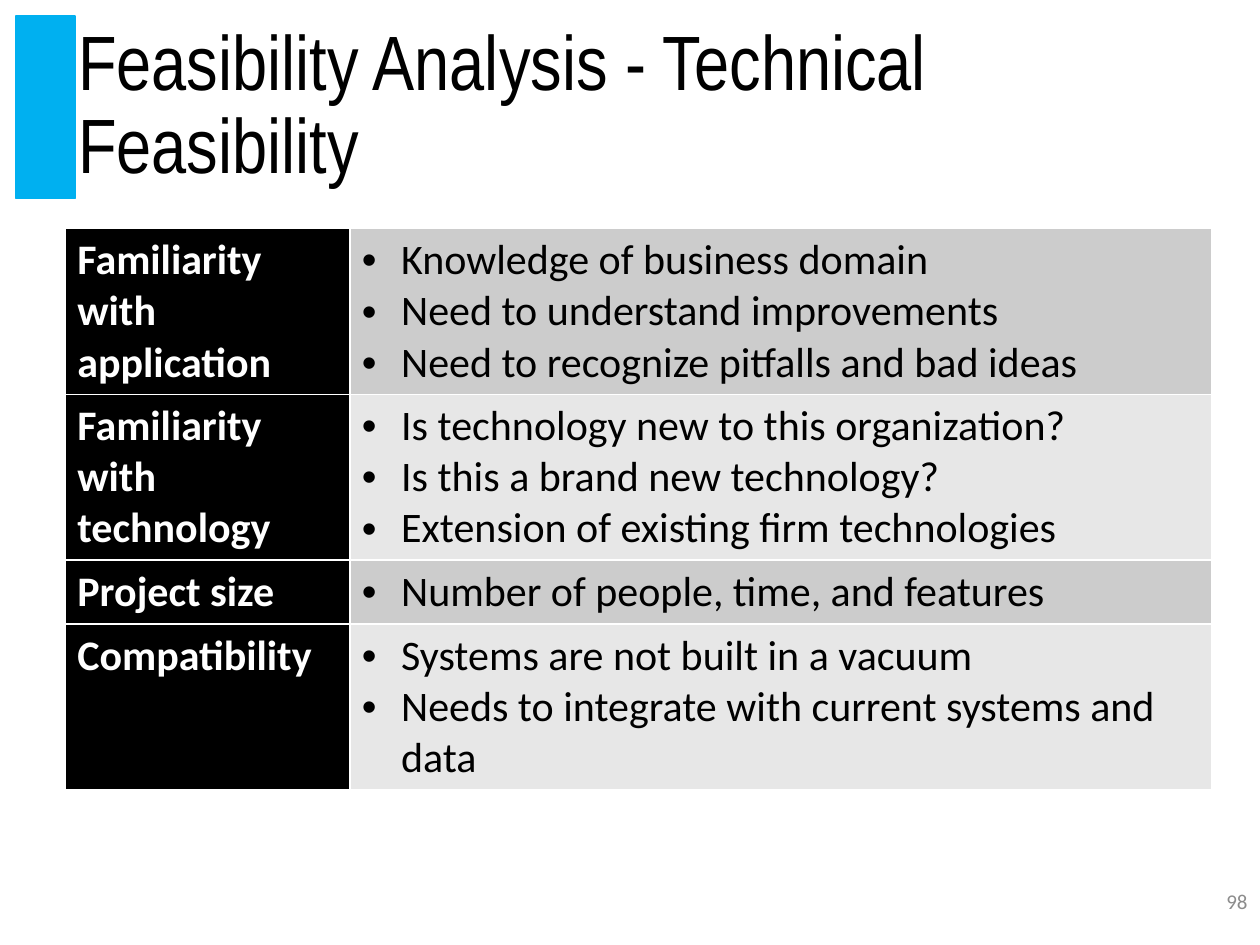
"""Builds the technical feasibility slide with its criteria table."""
from lxml.etree import SubElement
from pptx import Presentation
from pptx.dml.color import RGBColor
from pptx.enum.shapes import MSO_SHAPE
from pptx.enum.text import MSO_ANCHOR, PP_ALIGN
from pptx.oxml.ns import qn
from pptx.util import Pt

BLACK = RGBColor(0x00, 0x00, 0x00)
WHITE = RGBColor(0xFF, 0xFF, 0xFF)
BLUE = RGBColor(0x00, 0xB0, 0xF0)
GRAY = RGBColor(0x8C, 0x8C, 0x8C)
BANDS = (RGBColor(0xCC, 0xCC, 0xCC), RGBColor(0xE7, 0xE7, 0xE7))

CRITERIA = [
    ("Familiarity with application", [
        "Knowledge of business domain",
        "Need to understand improvements",
        "Need to recognize pitfalls and bad ideas"], 94.8),
    ("Familiarity with technology", [
        "Is technology new to this organization?",
        "Is this a brand new technology?",
        "Extension of existing firm technologies"], 94.8),
    ("Project size", ["Number of people, time, and features"], 36.5),
    ("Compatibility", [
        "Systems are not built in a vacuum",
        "Needs to integrate with current systems and data"], 94.8),
]


class Deck:
    """Holds the style and the current slide."""

    title_font = "Arial Narrow"
    body_font = "Calibri"
    body_size = 24

    def __init__(self, prs):
        self.s = prs.slides.add_slide(prs.slide_layouts[6])

    def style(self, p, font, size, color, bold=False):
        for r in p.runs:
            r.font.name = font
            r.font.size = Pt(size)
            r.font.bold = bold
            r.font.color.rgb = color

    def bar(self, x, y, w, h, color):
        sp = self.s.shapes.add_shape(MSO_SHAPE.RECTANGLE, Pt(x), Pt(y), Pt(w), Pt(h))
        sp.shadow.inherit = False
        sp.fill.solid()
        sp.fill.fore_color.rgb = color
        sp.line.color.rgb = color
        sp.line.width = Pt(1)

    def text(self, x, y, w, h, text, font, size, color, align=PP_ALIGN.LEFT, spacing=1.0):
        tf = self.s.shapes.add_textbox(Pt(x), Pt(y), Pt(w), Pt(h)).text_frame
        tf.word_wrap = True
        tf.vertical_anchor = MSO_ANCHOR.MIDDLE
        tf.text = text
        p = tf.paragraphs[0]
        p.alignment = align
        p.line_spacing = spacing
        self.style(p, font, size, color)

    def bullet(self, p, indent=22.5):
        pPr = p._p.get_or_add_pPr()
        pPr.set("marL", str(Pt(indent)))
        pPr.set("indent", str(-Pt(indent)))
        SubElement(pPr, qn("a:buFont"), typeface="Arial")
        SubElement(pPr, qn("a:buChar"), char="•")

    def cell(self, cell, lines, fill, color, bold=False, bullets=False):
        cell.margin_left = cell.margin_right = Pt(6.75)
        cell.margin_top = cell.margin_bottom = Pt(3.6)
        tcPr = cell._tc.get_or_add_tcPr()
        for side in ("lnL", "lnR", "lnT", "lnB"):
            ln = SubElement(tcPr, qn(f"a:{side}"), w=str(Pt(1)))
            SubElement(SubElement(ln, qn("a:solidFill")), qn("a:srgbClr"), val=str(WHITE))
        cell.fill.solid()
        cell.fill.fore_color.rgb = fill
        cell.text_frame.text = "\n".join(lines)
        for p in cell.text_frame.paragraphs:
            if bullets:
                self.bullet(p)
            self.style(p, self.body_font, self.body_size, color, bold)

    def table(self, x, y, widths, rows):
        height = sum(h for _, _, h in rows)
        table = self.s.shapes.add_table(
            len(rows), len(widths), Pt(x), Pt(y), Pt(sum(widths)), Pt(height)).table
        table.first_row = table.horz_banding = False
        for column, width in zip(table.columns, widths):
            column.width = Pt(width)
        for i, (label, points, h) in enumerate(rows):
            table.rows[i].height = Pt(h)
            self.cell(table.cell(i, 0), [label], BLACK, WHITE, bold=True)
            self.cell(table.cell(i, 1), points, BANDS[i % 2], BLACK, bullets=True)


def main():
    prs = Presentation()
    prs.slide_width, prs.slide_height = Pt(720), Pt(540)
    deck = Deck(prs)
    deck.bar(9, 9, 34, 104.5, BLUE)
    deck.text(37.5, 9, 655, 104.5, "Feasibility Analysis - Technical Feasibility",
              deck.title_font, 44, BLACK, spacing=0.9)
    deck.table(37.5, 130.5, (162.5, 492.5), CRITERIA)
    deck.text(558, 500.5, 162, 28.75, "98", deck.body_font, 12, GRAY, PP_ALIGN.RIGHT)
    prs.save("out.pptx")


if __name__ == "__main__":
    main()
